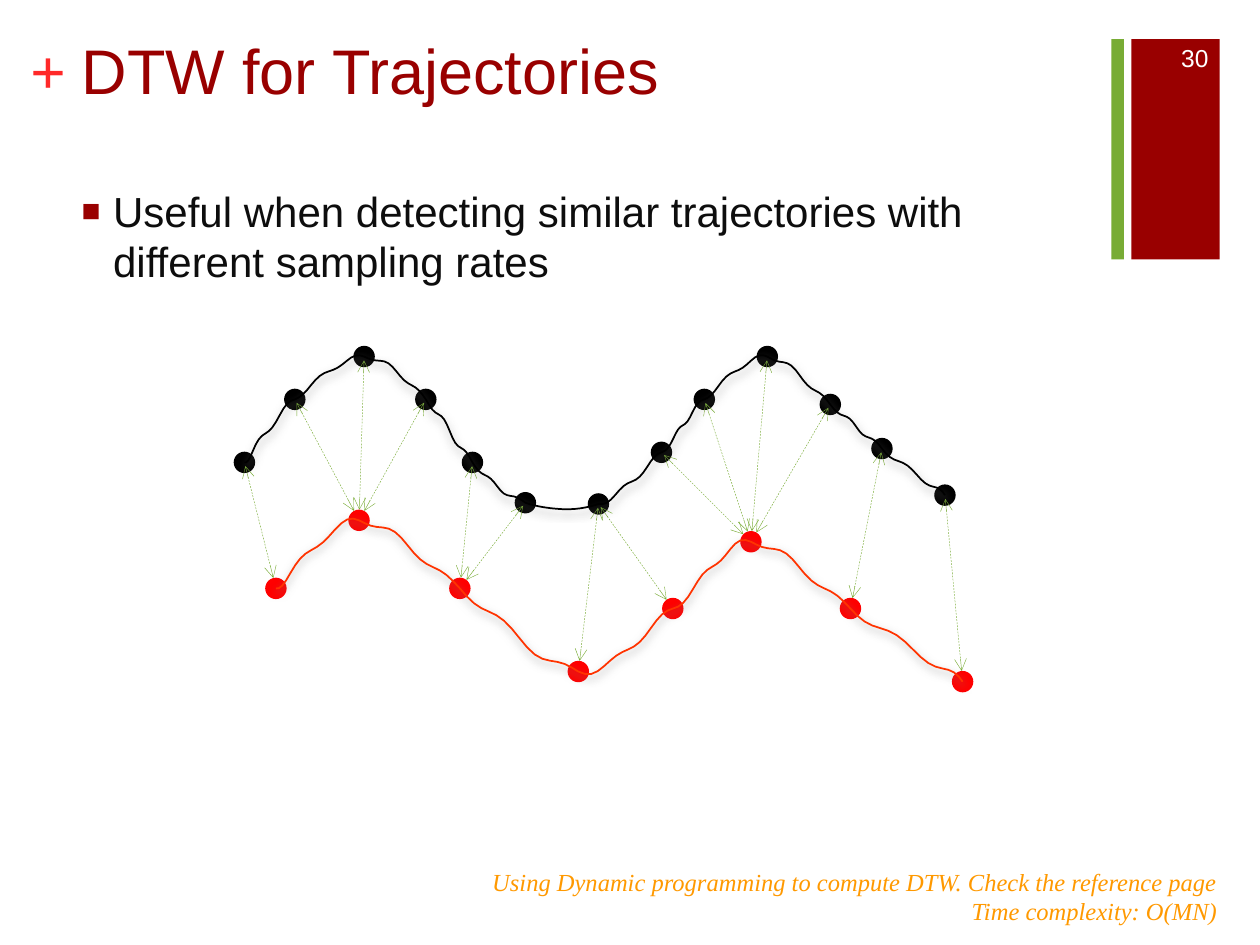
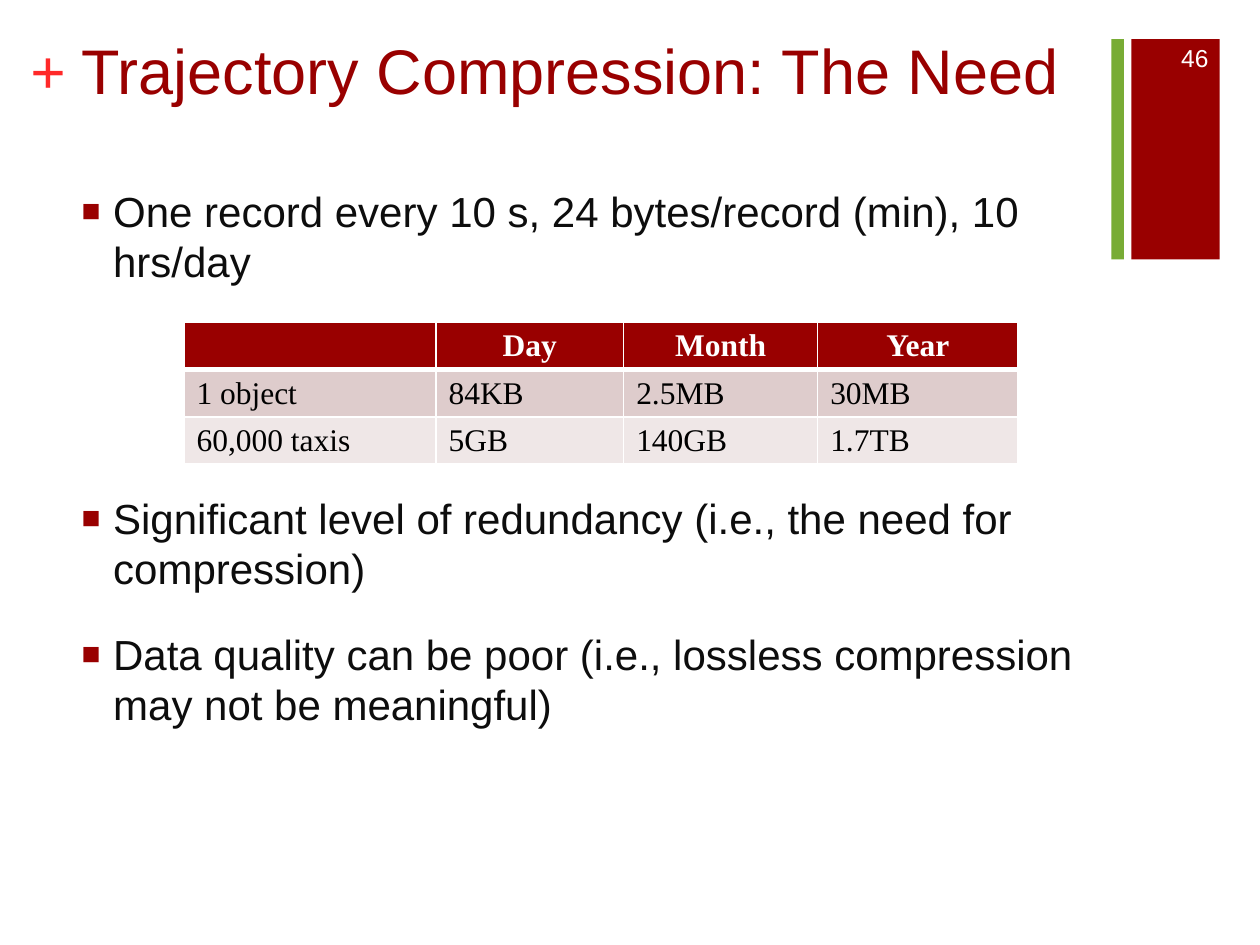
import math
from typing import NamedTuple

from pptx import Presentation
from pptx import util as u
from pptx.dml.color import RGBColor
from pptx.enum import dml, shapes, text
from pptx.oxml import parse_xml
from pptx.oxml.ns import nsdecls

COLORS = {
    "maroon": "990000", "green": "78AC35", "plus": "FF2929", "ink": "0D0D0D",
    "white": "FFFFFF", "black": "000000", "red": "FF0000", "orange": "FF3300",
    "note": "FF9900", "shadow": "808080", "row_dark": "DECCCC", "row_light": "EFE7E7",
}
SANS, SERIF = "Arial", "Times New Roman"
LEFT, CENTER, RIGHT = text.PP_ALIGN.LEFT, text.PP_ALIGN.CENTER, text.PP_ALIGN.RIGHT
TOP, MIDDLE = text.MSO_ANCHOR.TOP, text.MSO_ANCHOR.MIDDLE

# The slide is a grid of 100 columns by 75 rows, each a tenth of an inch.
WIDTH, HEIGHT = u.Inches(10), u.Inches(7.5)
COLUMNS, ROWS = 100, 75


class Box(NamedTuple):
    col: float
    row: float
    cols: float
    rows: float


class Point(NamedTuple):
    col: float
    row: float


class Trajectory(NamedTuple):
    dot_color: str
    line_color: str
    samples: list[Point]


class Para(NamedTuple):
    text: str
    before: float = 0


BAND = Box(89.8, 3.1, 7, 17.5)
STRIPE = Box(88.2, 3.1, 1, 17.5)
PLUS = Box(2.4, 2.5, 2.9, 6.1)
TITLE = Box(5.5, 2, 82.6, 12.2)
BODY = Box(5.5, 14.2, 82.6, 54.2)
NUMBER = Box(90.8, 2.6, 6.1, 4)
NOTE = Box(36.3, 68.3, 61.3, 5.7)

DOT = 1.7           # diameter of a sample dot
START_GAP = 0.3     # from the centre of a dense dot to its arrow
STEPS = 16          # straight pieces of the curve between two samples
WAVES = 2           # wobbles of the curve between two samples
WOBBLE = 0.05       # height of a wobble, as a share of the climb

DENSE = Trajectory("black", "black", [Point(*at) for at in (
    (19.4, 36.7), (23.4, 31.7), (28.9, 28.3), (33.8, 31.7), (37.5, 36.7), (41.7, 39.9),
    (47.5, 40), (52.5, 35.9), (55.9, 31.7), (60.9, 28.3), (65.9, 32.1), (70, 35.6),
    (75, 39.3))])
SPARSE = Trajectory("red", "orange", [Point(*at) for at in (
    (21.9, 46.7), (28.5, 41.3), (36.5, 46.7), (45.9, 53.3), (53.4, 48.3), (59.6, 43),
    (67.5, 48.3), (76.4, 54.1))])
# For each sparse sample in turn, the numbers of the dense samples it matches.
WARPING = [(0,), (1, 2, 3), (4, 5), (6,), (6,), (7, 8, 9, 10), (11,), (12,)]

TABLE = Box(14.6, 25.6, 66.2, 11.25)
TABLE_COLS = (20, 14.9, 15.4, 15.9)
ROW_FILLS = ("maroon", "row_dark", "row_light")
STORAGE = [
    ("", "Day", "Month", "Year"),
    ("1 object", "84KB", "2.5MB", "30MB"),
    ("60,000 taxis", "5GB", "140GB", "1.7TB"),
]


def x(col: float) -> u.Emu:
    return u.Emu(round(WIDTH * col / COLUMNS))


def y(row: float) -> u.Emu:
    return u.Emu(round(HEIGHT * row / ROWS))


def place(box: Box) -> tuple:
    return x(box.col), y(box.row), x(box.cols), y(box.rows)


def rgb(name: str) -> RGBColor:
    return RGBColor.from_string(COLORS[name])


def add_bullet(p) -> None:
    pPr = p._p.get_or_add_pPr()
    pPr.set("marL", str(u.Inches(0.25)))
    pPr.set("indent", str(-u.Inches(0.25)))
    for xml in (f'<a:buClr {nsdecls("a")}><a:srgbClr val="{COLORS["maroon"]}"/></a:buClr>',
                f'<a:buSzPct {nsdecls("a")} val="75000"/>',
                f'<a:buFont {nsdecls("a")} typeface="{SANS}"/>',
                f'<a:buChar {nsdecls("a")} char="■"/>'):
        pPr.append(parse_xml(xml))


def write(tf, *paras: Para, size: float, color: str, font: str = SANS, bold: bool = False,
          italic: bool = False, align=LEFT, bullet: bool = False) -> None:
    """Fill a text frame with paragraphs that share one format."""
    for i, para in enumerate(paras):
        p = tf.add_paragraph() if i else tf.paragraphs[0]
        if bullet:
            add_bullet(p)
        p.alignment = align
        if i:
            p.space_before = u.Pt(para.before)
        r = p.add_run()
        r.text = para.text
        f = r.font
        f.name, f.size, f.bold, f.italic = font, u.Pt(size), bold, italic
        f.color.rgb = rgb(color)


def add_text(slide, box: Box, *paras: Para, inset: float | None = None,
             anchor=TOP, **fmt) -> None:
    tf = slide.shapes.add_textbox(*place(box)).text_frame
    tf.word_wrap, tf.vertical_anchor = True, anchor
    if inset is not None:
        tf.margin_left = tf.margin_right = tf.margin_top = tf.margin_bottom = x(inset)
    write(tf, *paras, **fmt)


def add_solid(slide, kind, box: Box, color: str) -> None:
    sp = slide.shapes.add_shape(kind, *place(box))
    sp.shadow.inherit = False
    sp.fill.solid()
    sp.fill.fore_color.rgb = rgb(color)
    sp.line.fill.background()


def add_dots(slide, trajectory: Trajectory) -> None:
    for center in trajectory.samples:
        box = Box(center.col - DOT / 2, center.row - DOT / 2, DOT, DOT)
        add_solid(slide, shapes.MSO_SHAPE.OVAL, box, trajectory.dot_color)


def toward(start: Point, end: Point, gap: float) -> Point:
    """Return the point that lies a gap away from start on the way to end."""
    share = gap / math.dist(start, end)
    return Point(*(a + (b - a) * share for a, b in zip(start, end)))


def add_match(slide, dense: Point, sparse: Point) -> None:
    """Draw a dashed arrow with two heads between matched samples."""
    start, end = toward(dense, sparse, START_GAP), toward(sparse, dense, DOT / 2)
    cxn = slide.shapes.add_connector(shapes.MSO_CONNECTOR.STRAIGHT,
                                     x(start.col), y(start.row), x(end.col), y(end.row))
    cxn.line.color.rgb = rgb("green")
    cxn.line.width = u.Pt(0.25)
    cxn.line.dash_style = dml.MSO_LINE.DASH
    ln = cxn.line._get_or_add_ln()
    for tag in ("headEnd", "tailEnd"):
        ln.append(parse_xml(f'<a:{tag} {nsdecls("a")} type="arrow"/>'))
    cxn._element.spPr.append(parse_xml(f'<a:effectLst {nsdecls("a")}/>'))


def spline(a: float, b: float, c: float, d: float, t: float) -> float:
    """Catmull-Rom value at share t of the way from b to c."""
    return b + t / 2 * (c - a + t * (2 * a - 5 * b + 4 * c - d + t * (3 * (b - c) + d - a)))


def wobbly_curve(samples: list[Point]) -> list[Point]:
    """Join the samples by a smooth curve that wobbles where it climbs or falls."""
    padded = [samples[0], *samples, samples[-1]]
    curve = []
    for before, start, end, after in zip(padded, padded[1:], padded[2:], padded[3:]):
        height = WOBBLE * abs(end.row - start.row)
        for step in range(STEPS):
            t = step / STEPS
            col, row = (spline(*axis, t) for axis in zip(before, start, end, after))
            curve.append(Point(col, row + height * math.sin(2 * math.pi * WAVES * t)))
    return [*curve, samples[-1]]


def add_curve(slide, trajectory: Trajectory) -> None:
    points = [(x(col), y(row)) for col, row in wobbly_curve(trajectory.samples)]
    builder = slide.shapes.build_freeform(*points[0])
    builder.add_line_segments(points[1:], close=False)
    sp = builder.convert_to_shape()
    sp.fill.background()
    sp.line.color.rgb = rgb(trajectory.line_color)
    sp.line.width = u.Pt(1)
    sp.shadow.inherit = False
    sp._element.spPr.find("{*}effectLst").append(parse_xml(
        f'<a:outerShdw {nsdecls("a")} blurRad="{u.Pt(5)}" dist="{u.Pt(2)}" dir="5400000" '
        f'rotWithShape="0"><a:srgbClr val="{COLORS["shadow"]}"><a:alpha val="75000"/>'
        '</a:srgbClr></a:outerShdw>'))


def add_borders(cell, **widths: float) -> None:
    tcPr = cell._tc.get_or_add_tcPr()
    for side, width in widths.items():
        tcPr.append(parse_xml(
            f'<a:ln{side} {nsdecls("a")} w="{u.Pt(width)}"><a:solidFill>'
            f'<a:srgbClr val="{COLORS["white"]}"/></a:solidFill></a:ln{side}>'))


def add_storage_table(slide) -> None:
    table = slide.shapes.add_table(len(STORAGE), len(TABLE_COLS), *place(TABLE)).table
    for column, cols in zip(table.columns, TABLE_COLS):
        column.width = x(cols)
    for i, values in enumerate(STORAGE):
        head = i == 0
        for j, value in enumerate(values):
            cell = table.cell(i, j)
            add_borders(cell, L=1, R=1, T=3 if i == 1 else 1, B=3 if head else 1)
            cell.margin_top = cell.margin_bottom = y(0.3)
            cell.vertical_anchor = MIDDLE
            cell.fill.solid()
            cell.fill.fore_color.rgb = rgb(ROW_FILLS[i])
            if value:
                write(cell.text_frame, Para(value), size=18, font=SERIF, bold=head,
                      color="white" if head else "black", align=CENTER if head else LEFT)


def add_slide(prs, title: str, number: int, *bullets: Para):
    """Add a slide with the shared bands, title, bullets and number."""
    slide = prs.slides.add_slide(prs.slide_layouts[6])
    add_solid(slide, shapes.MSO_SHAPE.RECTANGLE, BAND, "maroon")
    add_text(slide, PLUS, Para("+"), inset=0, size=36, font=SERIF, color="plus", bold=True)
    add_solid(slide, shapes.MSO_SHAPE.RECTANGLE, STRIPE, "green")
    add_text(slide, TITLE, Para(title), size=36, color="maroon")
    add_text(slide, BODY, *bullets, size=24, color="ink", bullet=True)
    add_text(slide, NUMBER, Para(str(number)), size=14, color="white", align=RIGHT,
             anchor=MIDDLE)
    return slide


def add_warping_diagram(slide) -> None:
    for trajectory in (DENSE, SPARSE):
        add_dots(slide, trajectory)
    for sparse, matches in zip(SPARSE.samples, WARPING):
        for i in matches:
            add_match(slide, DENSE.samples[i], sparse)
    for trajectory in (DENSE, SPARSE):
        add_curve(slide, trajectory)


def main() -> None:
    prs = Presentation()
    prs.slide_width, prs.slide_height = WIDTH, HEIGHT

    dtw = add_slide(prs, "DTW for Trajectories", 30, Para(
        "Useful when detecting similar trajectories with different sampling rates"))
    add_warping_diagram(dtw)
    add_text(dtw, NOTE,
             Para("Using Dynamic programming to compute DTW. Check the reference page"),
             Para("Time complexity: O(MN)"),
             size=14, font=SERIF, color="note", italic=True, align=RIGHT)

    compression = add_slide(
        prs, "Trajectory Compression: The Need", 46,
        Para("One record every 10 s, 24 bytes/record (min), 10 hrs/day"),
        Para("Significant level of redundancy (i.e., the need for compression)", before=118),
        Para("Data quality can be poor (i.e., lossless compression may not be meaningful)",
             before=20))
    add_storage_table(compression)

    prs.save("out.pptx")


if __name__ == "__main__":
    main()
